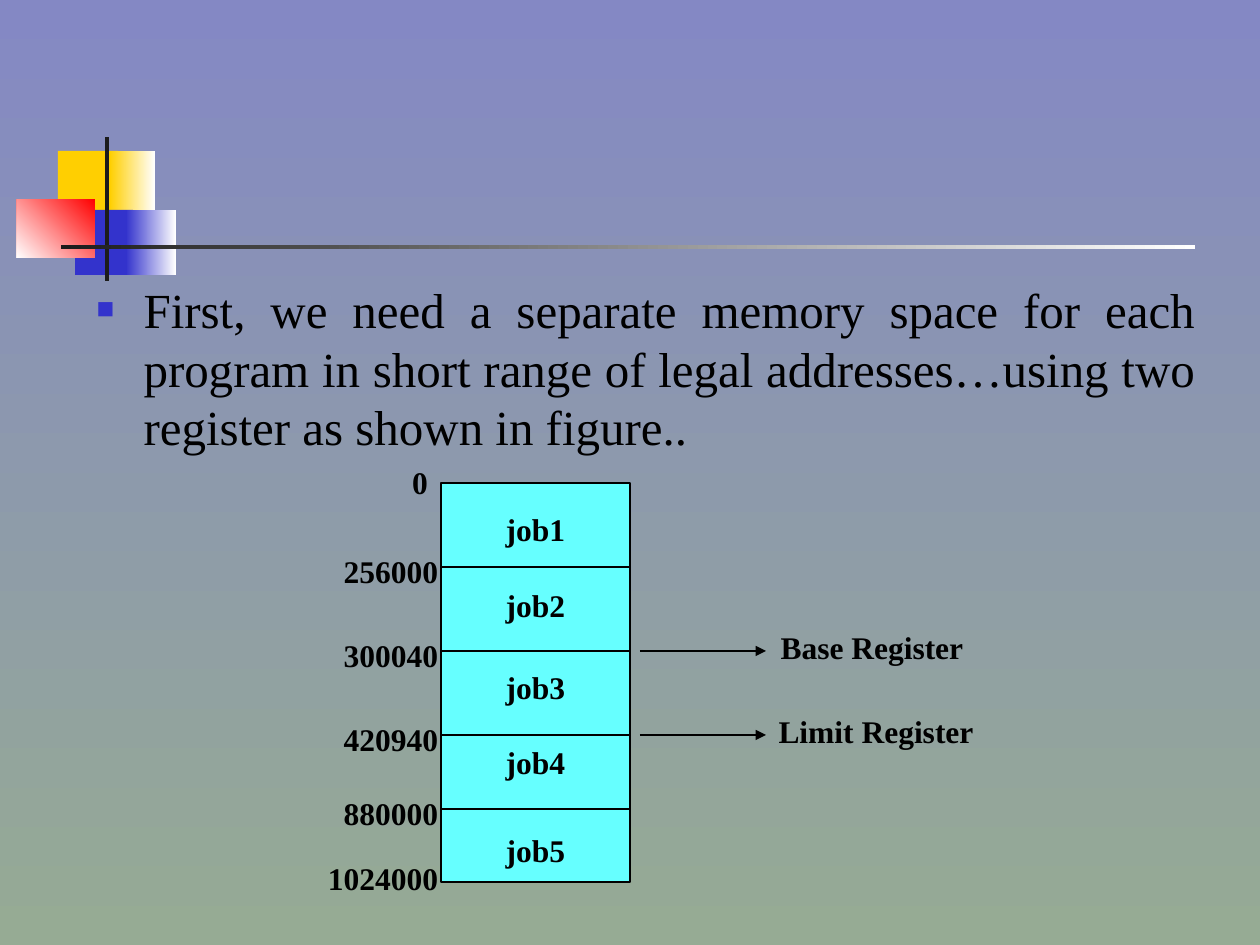
from lxml import etree
from pptx import Presentation
from pptx import util as u
from pptx.dml.color import RGBColor
from pptx.enum import shapes, text
from pptx.oxml.ns import qn

# Content
BODY = ("First, we need a separate memory space for each program in short range "
        "of legal addresses…using two register as shown in figure..")
# address, y of its boundary, label centre and top
ADDRESSES = [("0", 483, 420, 457), ("256000", 567, 391, 546),
             ("300040", 651, 391, 630), ("420940", 735, 391, 714),
             ("880000", 809, 391, 788), ("1024000", 882, 383, 853)]
JOBS = [("job1", 504), ("job2", 580), ("job3", 662), ("job4", 737), ("job5", 825)]
# register, y of its arrow, label centre and top
REGISTERS = [("Base Register", 651, 872, 622), ("Limit Register", 735, 876, 706)]

# Colours and measures
BLACK = RGBColor(0x00, 0x00, 0x00)
WHITE = RGBColor(0xFF, 0xFF, 0xFF)
DARK = RGBColor(0x1C, 0x1C, 0x1C)
YELLOW = RGBColor(0xFF, 0xCF, 0x01)
BLUE = RGBColor(0x33, 0x33, 0xCC)
RED = RGBColor(0xFF, 0x00, 0x00)
CYAN = RGBColor(0x66, 0xFF, 0xFF)
SKY = RGBColor(0x84, 0x88, 0xC4)
SAGE = RGBColor(0x96, 0xAB, 0x94)
FONT = "Times New Roman"
SCALE = 914400 / 126
MEMORY_LEFT, MEMORY_WIDTH = 441, 189
ARROW_LEFT, ARROW_RIGHT = 640, 766
LABEL_HEIGHT = 50
# Label width by number of characters
LABEL_MARGIN, LETTER_WIDTH = 32, 16

# Decoration: left, top, width, height, colours, clockwise angle
DECORATION = [
    (58, 151, 60, 66, (YELLOW,), 0),
    (110, 151, 45, 66, (WHITE, YELLOW), 180),
    (75, 210, 58, 65, (BLUE,), 0),
    (126, 210, 50, 65, (WHITE, BLUE), 180),
    (17, 199, 78, 59, (RED, WHITE), 135),
    (105, 137, 4, 144, (DARK,), 0),
    (61, 245, 1134, 4, (WHITE, DARK), 180),
]


def px(*lengths):
    return [u.Emu(round(length * SCALE)) for length in lengths]


def paint(fill, colours, angle=0):
    if len(colours) == 1:
        fill.solid()
        fill.fore_color.rgb = colours[0]
        return
    fill.gradient()
    fill.gradient_angle = (360 - angle) % 360
    for stop, colour in zip(fill.gradient_stops, colours):
        stop.color.rgb = colour


def add_rectangle(page, left, top, width, height, colours, angle=0):
    box = page.shapes.add_shape(shapes.MSO_SHAPE.RECTANGLE,
                                *px(left, top, width, height))
    box.shadow.inherit = False
    paint(box.fill, colours, angle)
    box.line.fill.background()
    return box


def style(paragraph, size, bold, align):
    paragraph.alignment = align
    font = paragraph.font
    font.name, font.size, font.bold = FONT, u.Pt(size), bold
    font.color.rgb = BLACK


def add_label(page, words, centre, top):
    width = LABEL_MARGIN + LETTER_WIDTH * len(words)
    box = page.shapes.add_textbox(*px(centre - width / 2, top, width, LABEL_HEIGHT))
    frame = box.text_frame
    frame.word_wrap = False
    frame.auto_size = text.MSO_AUTO_SIZE.SHAPE_TO_FIT_TEXT
    frame.text = words
    style(frame.paragraphs[0], 18, True, text.PP_ALIGN.CENTER)


def add_line(page, left, right, y, arrow=False):
    line = page.shapes.add_connector(shapes.MSO_CONNECTOR.STRAIGHT,
                                     *px(left, y, right, y))
    line.line.color.rgb = BLACK
    line.line.width = u.Pt(0.75)
    if arrow:
        etree.SubElement(line.line._get_or_add_ln(), qn("a:tailEnd"), type="triangle")
    etree.SubElement(line._element.spPr, qn("a:effectLst"))


def add_bullet(paragraph, colour, percent, indent):
    properties = paragraph._p.get_or_add_pPr()
    properties.set("marL", str(indent))
    properties.set("indent", str(-indent))
    holder = etree.SubElement(properties, qn("a:buClr"))
    etree.SubElement(holder, qn("a:srgbClr"), val=str(colour))
    etree.SubElement(properties, qn("a:buSzPct"), val=str(percent * 1000))
    etree.SubElement(properties, qn("a:buChar"), char="■")


def main():
    deck = Presentation()
    deck.slide_width, deck.slide_height = px(1260, 945)
    page = deck.slides.add_slide(deck.slide_layouts[1])
    title, body = page.placeholders
    title.element.getparent().remove(title.element)
    paint(page.background.fill, (SKY, SAGE), 90)

    # Decoration, drawn behind the body text
    for part in DECORATION:
        add_rectangle(page, *part)

    # Body text
    page.shapes._spTree.append(body.element)
    body.left, body.top, body.width, body.height = px(84, 273, 1124, 620)
    body.text_frame.text = BODY
    paragraph = body.text_frame.paragraphs[0]
    paragraph.space_before = u.Pt(7)
    add_bullet(paragraph, BLUE, 60, px(47)[0])
    style(paragraph, 28, False, text.PP_ALIGN.JUSTIFY)

    # Memory block with its boundaries
    boundaries = [address[1] for address in ADDRESSES]
    memory = add_rectangle(page, MEMORY_LEFT, boundaries[0], MEMORY_WIDTH,
                           boundaries[-1] - boundaries[0], (CYAN,))
    memory.line.color.rgb = BLACK
    memory.line.width = u.Pt(0.75)
    for y in boundaries[1:-1]:
        add_line(page, MEMORY_LEFT, MEMORY_LEFT + MEMORY_WIDTH, y)

    # Jobs and addresses
    for job, top in JOBS:
        add_label(page, job, MEMORY_LEFT + MEMORY_WIDTH / 2, top)
    for address, _, centre, top in ADDRESSES:
        add_label(page, address, centre, top)

    # Registers
    for register, y, centre, top in REGISTERS:
        add_line(page, ARROW_LEFT, ARROW_RIGHT, y, arrow=True)
        add_label(page, register, centre, top)

    deck.save("out.pptx")


if __name__ == "__main__":
    main()
